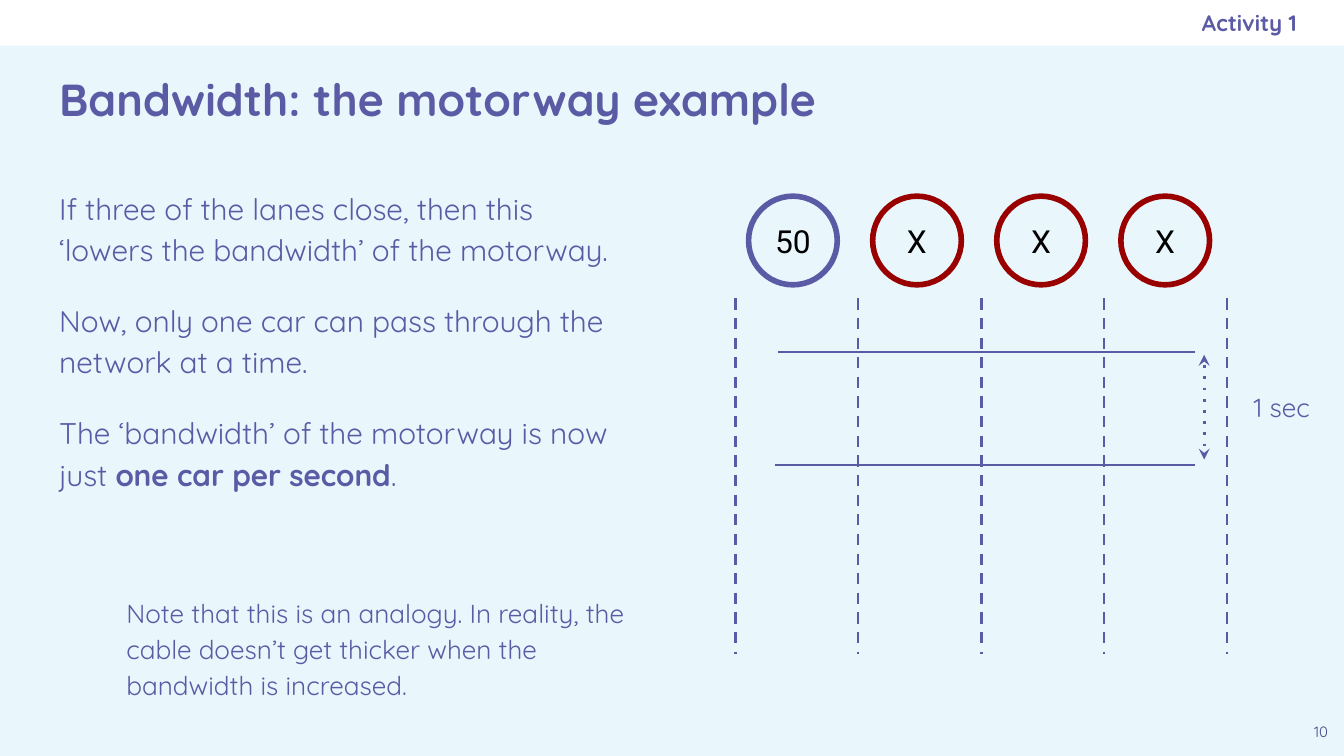
from dataclasses import dataclass

from pptx import Presentation
from pptx.dml.color import RGBColor
from pptx.enum import shapes as kinds, text as txt
from pptx.oxml.ns import qn
from pptx.util import Inches, Pt
from lxml import etree

HUES = {"sky": "E9F7FC", "white": "FFFFFF", "plum": "5B5BA5",
        "dark": "494985", "red": "990000", "black": "000000"}
FONT = "Quicksand"
ALIGN = txt.PP_ALIGN
ANCHOR = txt.MSO_ANCHOR


@dataclass
class Lane:
    sign: str
    hue: str


@dataclass
class Rule:
    x1: float
    y1: float
    x2: float
    y2: float
    dash: str = "solid"
    tips: bool = False


@dataclass
class Para:
    runs: list[tuple[str, bool]]
    size: float = 16
    before: float = 16
    indent: float = 0


@dataclass
class Label:
    text: str
    box: tuple[float, float, float, float]
    size: float
    hue: str = "plum"
    bold: bool = False
    align: ALIGN = ALIGN.LEFT
    anchor: ANCHOR = ANCHOR.TOP
    right: float = 0.1


LANES = [Lane("50", "plum")] + [Lane("X", "red")] * 3
LEFT, RIGHT = 5.47, 9.13
STEP = (RIGHT - LEFT) / len(LANES)
SIGN_LEFT, SIGN_LAST, SIGN = 5.57, 8.34, 0.66
SIGN_STEP = (SIGN_LAST - SIGN_LEFT) / (len(LANES) - 1)

RULES = [Rule(LEFT + i * STEP, 2.22, LEFT + i * STEP, 4.87, "dash")
         for i in range(len(LANES) + 1)]
RULES += [
    Rule(5.79, 2.62, 8.89, 2.62),
    Rule(5.77, 3.46, 8.89, 3.46),
    Rule(8.96, 2.64, 8.96, 3.42, "dot", True),
]

PARAS = [
    Para([("If three of the lanes close, then this ‘lowers the bandwidth’ "
           "of the motorway.", False)], before=0),
    Para([("Now, only one car can pass through the network at a time.", False)]),
    Para([("The ‘bandwidth’ of the motorway is now just ", False),
          ("one car per second", True), (".", False)]),
    Para([("Note that this is an analogy. In reality, the cable doesn’t get "
           "thicker when the bandwidth is increased.", False)],
         size=14, before=54, indent=0.5),
]

LABELS = [
    Label("10", (9.66, 5.28, 0.34, 0.34), 8, "dark", align=ALIGN.CENTER),
    Label("Activity 1", (5.75, 0, 3.9, 0.34), 12, bold=True,
          align=ALIGN.RIGHT, anchor=ANCHOR.MIDDLE, right=0),
    Label("1 sec", (9.23, 2.81, 0.86, 0.44), 14),
]


def color(name: str) -> RGBColor:
    return RGBColor.from_string(HUES[name])


def place(shape, box: tuple[float, float, float, float]) -> None:
    shape.left, shape.top, shape.width, shape.height = map(Inches, box)


def set_frame(shape, anchor: ANCHOR, right: float = 0.1):
    frame = shape.text_frame
    frame.word_wrap = True
    frame.auto_size = txt.MSO_AUTO_SIZE.NONE
    frame.vertical_anchor = anchor
    frame.margin_left = frame.margin_top = frame.margin_bottom = Inches(0.1)
    frame.margin_right = Inches(right)
    return frame


def add_run(para, words: str, size: float, hue: str = "plum",
            bold: bool = False, face: str = FONT) -> None:
    run = para.add_run()
    run.text = words
    font = run.font
    font.name, font.size, font.bold = face, Pt(size), bold
    font.color.rgb = color(hue)


def fill_label(shape, label: Label) -> None:
    place(shape, label.box)
    frame = set_frame(shape, label.anchor, label.right)
    para = frame.paragraphs[0]
    para.alignment = label.align
    add_run(para, label.text, label.size, label.hue, label.bold)


def fill_body(shape, paras: list[Para]) -> None:
    place(shape, (0.34, 1.28, 4.48, 4))
    frame = set_frame(shape, ANCHOR.TOP)
    for i, item in enumerate(paras):
        para = frame.add_paragraph() if i else frame.paragraphs[0]
        props = para._p.get_or_add_pPr()
        props.set("marL", str(Inches(item.indent)))
        props.set("indent", "0")
        etree.SubElement(props, qn("a:buNone"))
        para.line_spacing = 1.15
        para.space_before = Pt(item.before)
        for words, bold in item.runs:
            add_run(para, words, item.size, bold=bold)


def add_bar(slide) -> None:
    bar = slide.shapes.add_shape(kinds.MSO_SHAPE.RECTANGLE, 0, 0,
                                 Inches(10), Inches(0.34))
    bar.shadow.inherit = False
    bar.fill.solid()
    bar.fill.fore_color.rgb = color("white")
    bar.line.fill.background()


def add_sign(slide, lane: Lane, left: float) -> None:
    sign = slide.shapes.add_shape(
        kinds.MSO_SHAPE.OVAL, *map(Inches, (left, 1.46, SIGN, SIGN)))
    sign.shadow.inherit = False
    sign.fill.background()
    sign.line.color.rgb = color(lane.hue)
    sign.line.width = Pt(3)
    para = set_frame(sign, ANCHOR.MIDDLE).paragraphs[0]
    para.alignment = ALIGN.CENTER
    add_run(para, lane.sign, 17, "black", face="Roboto")


def add_rule(slide, rule: Rule) -> None:
    line = slide.shapes.add_connector(
        kinds.MSO_CONNECTOR.STRAIGHT,
        *map(Inches, (rule.x1, rule.y1, rule.x2, rule.y2)))
    line.line.color.rgb = color("plum")
    line.line.width = Pt(1.5)
    stroke = line.line._get_or_add_ln()
    etree.SubElement(stroke, qn("a:prstDash"), val=rule.dash)
    if rule.tips:
        for end in ("a:headEnd", "a:tailEnd"):
            etree.SubElement(stroke, qn(end), type="stealth")
    etree.SubElement(line._element.spPr, qn("a:effectLst"))


def main() -> None:
    deck = Presentation()
    deck.slide_width = Inches(10)
    deck.slide_height = deck.slide_width * 9 // 16
    slide = deck.slides.add_slide(deck.slide_layouts[1])
    slide.background.fill.solid()
    slide.background.fill.fore_color.rgb = color("sky")

    add_bar(slide)
    fill_body(slide.placeholders[1], PARAS)
    fill_label(slide.shapes.title, Label(
        "Bandwidth: the motorway example", (0.34, 0.35, 9.32, 0.76), 24,
        bold=True, anchor=ANCHOR.MIDDLE))
    for label in LABELS:
        fill_label(slide.shapes.add_textbox(0, 0, 0, 0), label)
    for i, lane in enumerate(LANES):
        add_sign(slide, lane, SIGN_LEFT + i * SIGN_STEP)
    for rule in RULES:
        add_rule(slide, rule)
    deck.save("out.pptx")


if __name__ == "__main__":
    main()
